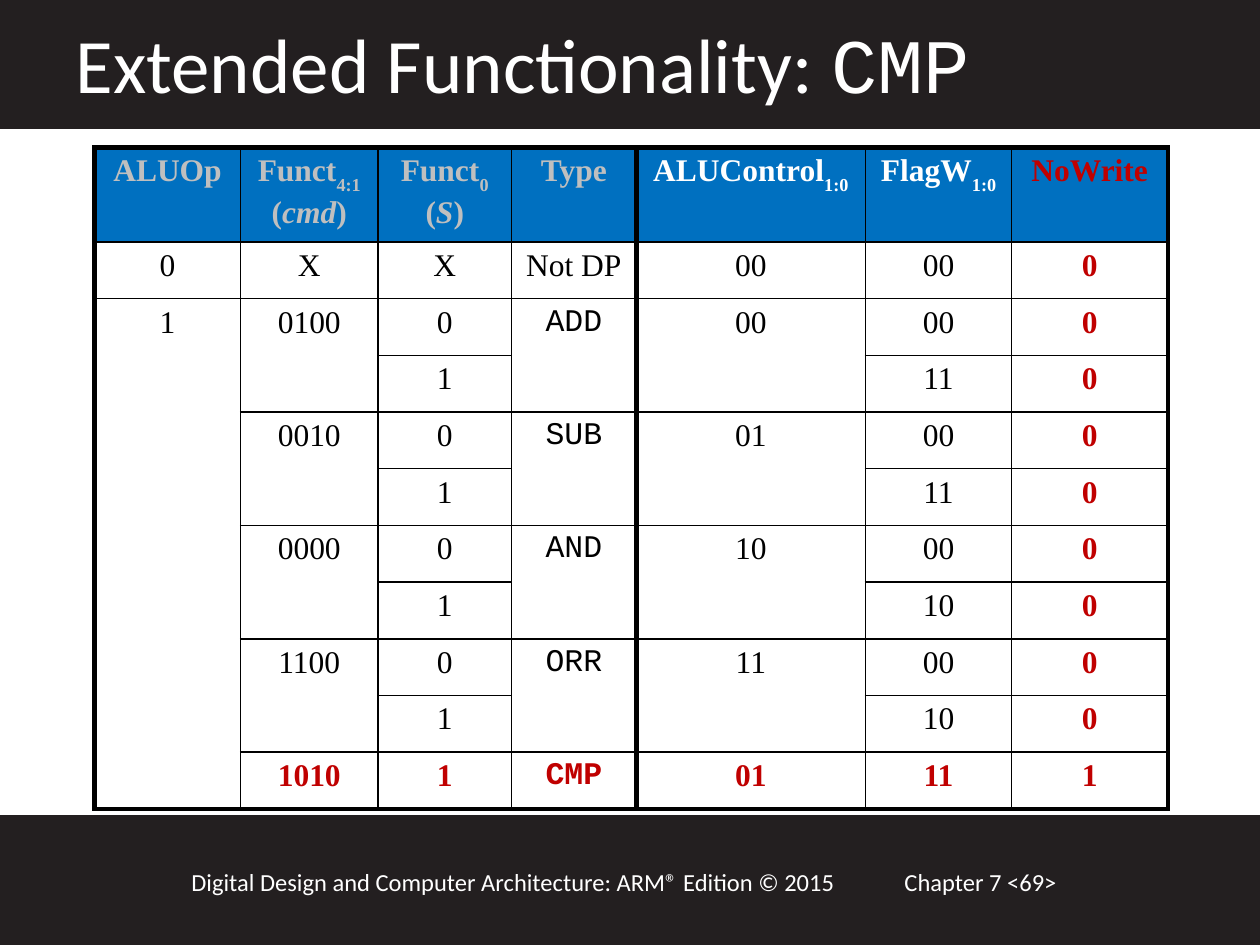
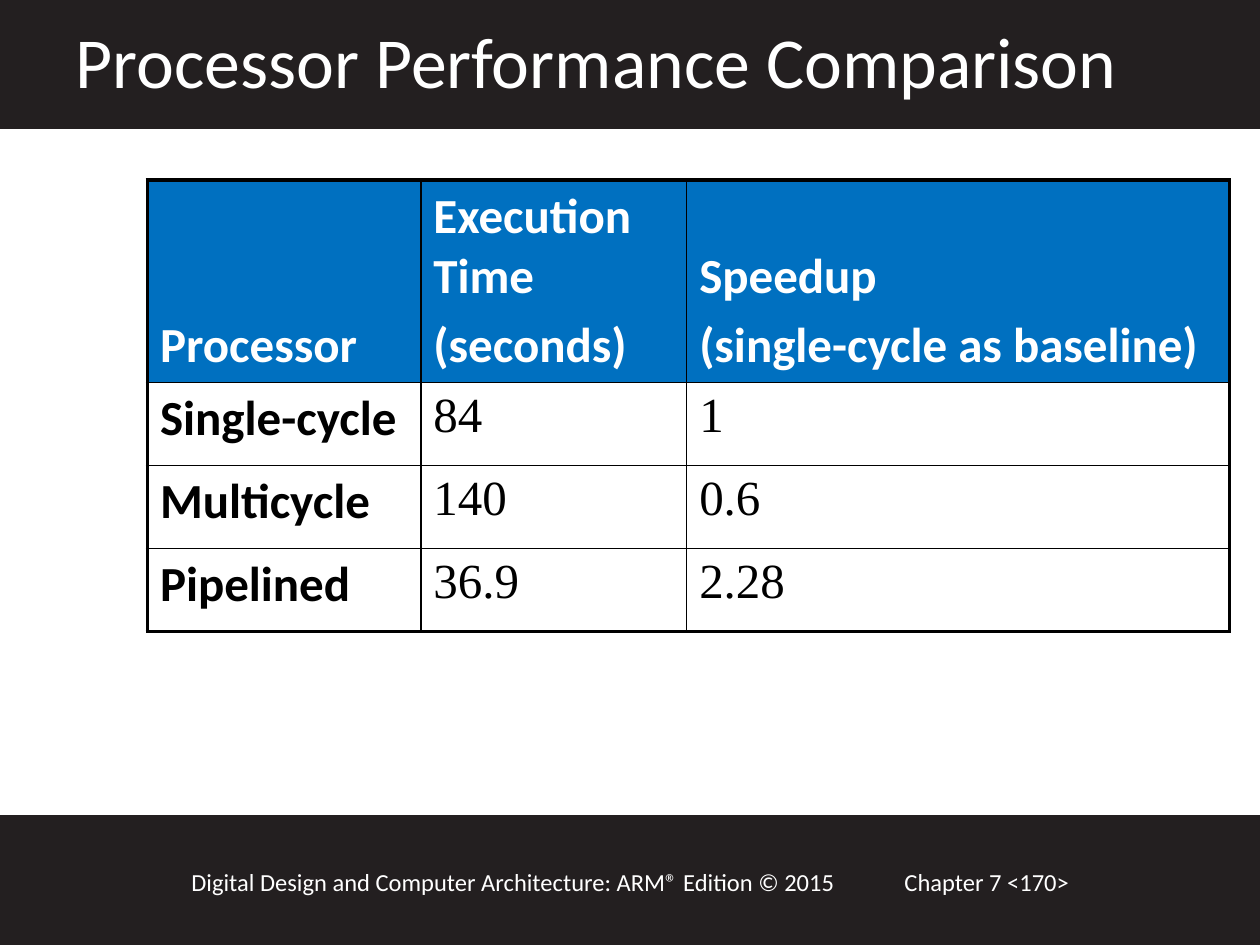
from lxml import etree
from pptx import Presentation
from pptx.dml.color import RGBColor
from pptx.enum.shapes import MSO_SHAPE
from pptx.enum.text import MSO_ANCHOR, MSO_AUTO_SIZE, PP_ALIGN
from pptx.oxml.ns import qn
from pptx.util import Inches, Pt

BLACK = RGBColor(0x00, 0x00, 0x00)
WHITE = RGBColor(0xFF, 0xFF, 0xFF)
BAND = RGBColor(0x23, 0x1F, 0x20)
HEADER = RGBColor(0x00, 0x70, 0xC0)
GRAY = RGBColor(0xBF, 0xBF, 0xBF)
RED = RGBColor(0xC0, 0x00, 0x00)

SANS, SERIF, MONO = "Calibri", "Times New Roman", "Courier New"
COURSE = "Digital Design and Computer Architecture: ARM® Edition © 2015"


def style_font(font, name, size, color, bold=False):
    font.name, font.size, font.bold = name, Pt(size), bold
    font.color.rgb = color


class Deck:
    def __init__(self):
        self.prs = Presentation()
        self.prs.slide_width, self.prs.slide_height = Inches(10), Inches(7.5)
        self.s = None

    def slide(self, title, size, page):
        """Start a slide with bands, footer and title, given as (text, font) runs."""
        self.s = self.prs.slides.add_slide(self.prs.slide_layouts[5])
        self.band(6.48)
        self.band(0)
        self.text(f"Chapter 7 <{page}>", 7.08, 2.17)
        self.text(COURSE, 1.42, 5.75)
        self.title(title, size)

    def band(self, top):
        sp = self.s.shapes.add_shape(MSO_SHAPE.RECTANGLE, 0, Inches(top),
                                     Inches(10), Inches(1.01))
        sp.shadow.inherit = False
        sp.fill.solid()
        sp.fill.fore_color.rgb = sp.line.color.rgb = BAND
        sp.line.width = Pt(2)

    def text(self, text, left, width):
        sp = self.s.shapes.add_textbox(Inches(left), Inches(6.83),
                                       Inches(width), Inches(0.34))
        tf = sp.text_frame
        tf.word_wrap = True
        tf.text = text
        style_font(tf.paragraphs[0].font, SANS, 14, WHITE)

    def title(self, runs, size):
        sp = self.s.shapes.title
        sp.left, sp.top = Inches(0.5), Inches(0.08)
        sp.width, sp.height = Inches(8.67), Inches(0.84)
        sp.element.getparent().append(sp.element)  # in front of the band
        tf = sp.text_frame
        tf.auto_size, tf.vertical_anchor = MSO_AUTO_SIZE.NONE, MSO_ANCHOR.TOP
        p = tf.paragraphs[0]
        p.alignment = PP_ALIGN.LEFT
        style_font(p.font, SANS, size, WHITE)
        for text, font in runs:
            r = p.add_run()
            r.text, r.font.name = text, font

    def table(self, left, top, cols, heights, rows, style, outer, thick_after=()):
        """Fill a table; None continues the cell above, style(i, j) gives its look."""
        tbl = self.s.shapes.add_table(
            len(rows), len(cols), Inches(left), Inches(top),
            Inches(sum(cols)), Inches(sum(heights))).table
        tbl.first_row = tbl.horz_banding = False
        for col, width in zip(tbl.columns, cols):
            col.width = Inches(width)
        for row, height in zip(tbl.rows, heights):
            row.height = Inches(height)
        thick_cols = {0, len(cols), *thick_after}
        for i, row in enumerate(rows):
            for j, content in enumerate(row):
                cell = tbl.cell(i, j)
                end = i + 1
                while content is not None and end < len(rows) and rows[end][j] is None:
                    end += 1
                if end > i + 1:
                    cell.merge(tbl.cell(end - 1, j))
                thick = {"L": j in thick_cols, "R": j + 1 in thick_cols,
                         "T": i == 0, "B": end == len(rows)}
                self.borders(cell, {k: outer if t else 1 for k, t in thick.items()})
                if i == 0:
                    cell.fill.solid()
                    cell.fill.fore_color.rgb = HEADER
                else:
                    cell.fill.background()
                if content is not None:
                    self.cell_text(cell, content, **style(i, j))

    def cell_text(self, cell, content, font, align=PP_ALIGN.LEFT,
                  anchor=MSO_ANCHOR.TOP, gap=0):
        """Write paragraphs, each a list of (text, kind) runs or a plain string."""
        cell.vertical_anchor = anchor
        tf = cell.text_frame
        for n, runs in enumerate([content] if isinstance(content, str) else content):
            p = tf.add_paragraph() if n else tf.paragraphs[0]
            p.alignment = align
            if n and gap:
                p.space_before = Pt(gap)
            style_font(p.font, *font)
            for text, kind in [(runs, "")] if isinstance(runs, str) else runs:
                r = p.add_run()
                r.text = text
                if kind == "italic":
                    r.font.italic = True
                elif kind == "sub":
                    r._r.get_or_add_rPr().set("baseline", "-30000")

    def borders(self, cell, widths):
        tc_pr = cell._tc.get_or_add_tcPr()
        for side in "LRTB":
            ln = etree.SubElement(tc_pr, qn(f"a:ln{side}"), w=str(Pt(widths[side])))
            fill = etree.SubElement(ln, qn("a:solidFill"))
            etree.SubElement(fill, qn("a:srgbClr"), val=str(BLACK))


def decoder_rows():
    header = ["ALUOp",
              [[("Funct", ""), ("4:1", "sub")],
               [("(", ""), ("cmd", "italic"), (")", "")]],
              [[("Funct", ""), ("0", "sub")],
               [("(", ""), ("S", "italic"), (")", "")]],
              "Type",
              [[("ALUControl", ""), ("1:0", "sub")]],
              [[("FlagW", ""), ("1:0", "sub")]],
              "NoWrite"]
    rows = [header, ["0", "X", "X", "Not DP", "00", "00", "0"]]
    operations = [("0100", "ADD", "00", "11"), ("0010", "SUB", "01", "11"),
                  ("0000", "AND", "10", "10"), ("1100", "ORR", "11", "10")]
    for cmd, name, control, flags in operations:
        rows.append([None, cmd, "0", name, control, "00", "0"])
        rows.append([None, None, "1", None, None, flags, "0"])
    rows.append([None, "1010", "1", "CMP", "01", "11", "1"])
    rows[2][0] = "1"
    return rows


def decoder_slide(deck):
    deck.slide([("Extended Functionality: ", SANS), ("CMP", MONO)], 44, 69)
    rows = decoder_rows()
    last = len(rows) - 1

    def style(i, j):
        new = j == 6 or i == last
        color = RED if new else BLACK if i else GRAY if j < 4 else WHITE
        name = MONO if j == 3 and i > 1 else SERIF
        return dict(font=(name, 18, color, new or i == 0), align=PP_ALIGN.CENTER)

    deck.table(0.75, 1.17, [1.16, 1.09, 1.06, 0.99, 1.82, 1.16, 1.24],
               [0.75] + [0.45] * last, rows, style, outer=3, thick_after=[4])


def performance_slide(deck):
    deck.slide([("Processor Performance Comparison", SANS)], 41, 170)
    rows = [["Processor", ["Execution Time", "(seconds)"],
             ["Speedup", "(single-cycle as baseline)"]],
            ["Single-cycle", "84", "1"],
            ["Multicycle", "140", "0.6"],
            ["Pipelined", "36.9", "2.28"]]

    def style(i, j):
        if i == 0:
            return dict(font=(SANS, 28, WHITE, True), anchor=MSO_ANCHOR.BOTTOM, gap=5.6)
        return dict(font=(SERIF if j else SANS, 28, BLACK, j == 0))

    deck.table(1.17, 1.43, [2.17, 2.11, 4.31], [1.58] + [0.66] * 3,
               rows, style, outer=2.25)


def main():
    deck = Deck()
    decoder_slide(deck)
    performance_slide(deck)
    deck.prs.save("out.pptx")


if __name__ == "__main__":
    main()
